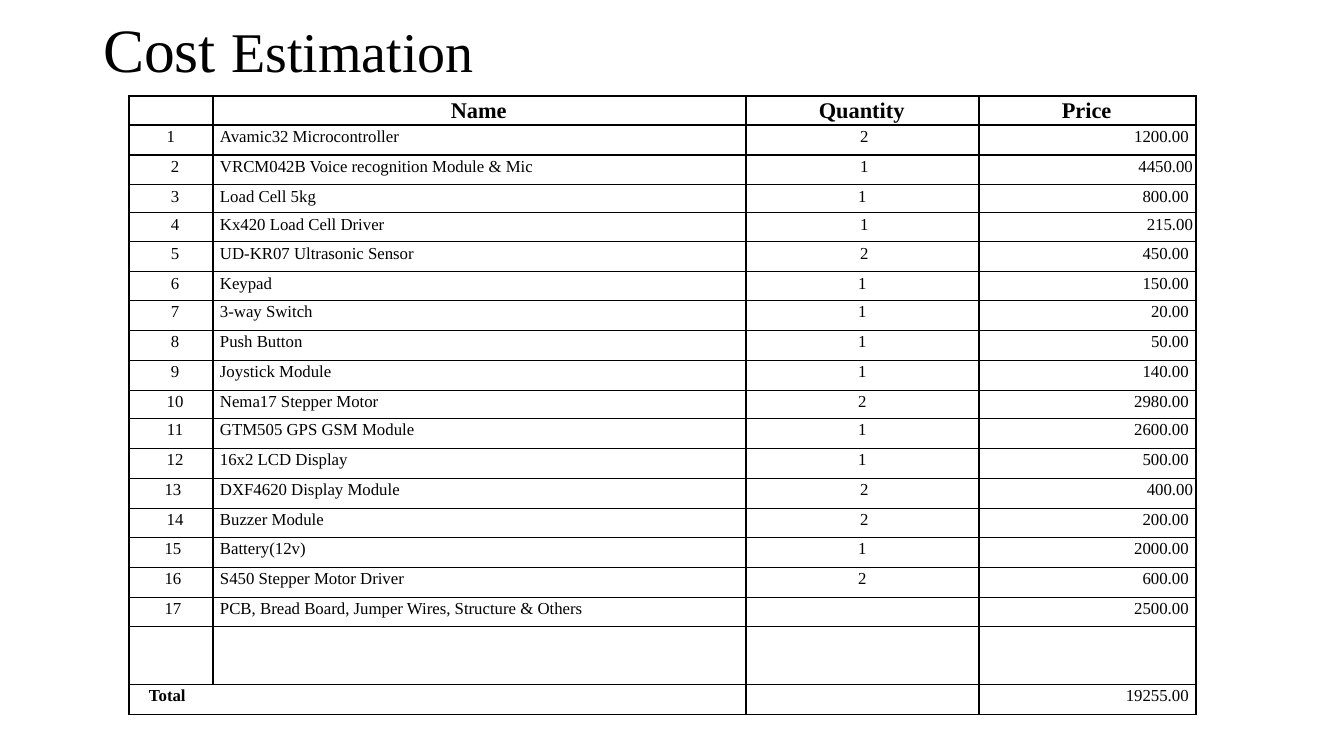
import pptx
import pptx.util
import pptx.dml.color
import pptx.enum.text
import pptx.oxml.ns
import lxml.etree

# Content
TITLE = [("Cost ", 44), ("Estimation", 40)]
HEADINGS = ("", "Name ", "Quantity ", "Price ")
ITEMS = [
    ("1 ", "Avamic32 Microcontroller", "2", "1200.00 "),
    (" 2", "VRCM042B Voice recognition Module & Mic", "1", "4450.00"),
    (" 3", "Load Cell 5kg", "1 ", "800.00 "),
    (" 4", "Kx420 Load Cell Driver", "1", "215.00"),
    (" 5", "UD-KR07 Ultrasonic Sensor", "2", "450.00 "),
    (" 6", "Keypad", "1 ", "150.00 "),
    (" 7", "3-way Switch", "1 ", "20.00 "),
    (" 8", "Push Button", "1 ", "50.00 "),
    (" 9", "Joystick Module", "1 ", "140.00 "),
    (" 10", "Nema17 Stepper Motor", "2 ", "2980.00 "),
    (" 11", "GTM505 GPS GSM Module", "1 ", "2600.00 "),
    (" 12", "16x2 LCD Display", "1 ", "500.00 "),
    ("13", "DXF4620 Display Module", "2", "400.00"),
    (" 14", "Buzzer Module", "2", "200.00 "),
    ("15", "Battery(12v)", "1 ", "2000.00 "),
    ("16", "S450 Stepper Motor Driver", "2 ", "600.00 "),
    ("17", "PCB, Bread Board, Jumper Wires, Structure & Others", "", "2500.00 "),
]
SPACER = ("", "", "", "")
TOTAL = ("Total", "", "", "19255.00 ")

# Layout in px
SLIDE_SIZE = (1344, 756)
TITLE_BOX = (93, 10, 1159, 86)
TABLE_LEFT, TABLE_TOP = 129, 96
COLUMN_WIDTHS = (84, 533, 233, 217)
ROW_HEIGHTS = (29, 30, 30, 28, 29, 30, 29, 30, 30, 30,
               28, 30, 30, 30, 29, 30, 30, 29, 58, 30)
CELL_MARGINS = {"left": 7, "top": 1, "right": 3, "bottom": 0}
TOTAL_INDENT = 20

FONT = "Times New Roman"
BLACK = pptx.dml.color.RGBColor(0x00, 0x00, 0x00)
ALIGN = pptx.enum.text.PP_ALIGN
COLUMN_ALIGNS = (ALIGN.CENTER, ALIGN.LEFT, ALIGN.CENTER, ALIGN.RIGHT)


def px(length):
    return round(length * 914400 / 100.8)


def write(paragraph, text, size=12, bold=False, align=ALIGN.LEFT, spacing=1.07):
    paragraph.alignment = align
    paragraph.line_spacing = spacing
    if not text:
        # An empty cell still needs a small font to keep its row low
        lxml.etree.SubElement(paragraph._p, pptx.oxml.ns.qn("a:endParaRPr"),
                              sz=str(size * 100))
        return
    run = paragraph.add_run()
    run.text = text
    run.font.name = FONT
    run.font.size = pptx.util.Pt(size)
    run.font.bold = bold
    run.font.color.rgb = BLACK


def outline(cell):
    properties = cell._tc.get_or_add_tcPr()
    for side in ("lnL", "lnR", "lnT", "lnB"):
        line = lxml.etree.SubElement(properties, pptx.oxml.ns.qn("a:" + side),
                                     w=str(pptx.util.Pt(1)))
        fill = lxml.etree.SubElement(line, pptx.oxml.ns.qn("a:solidFill"))
        lxml.etree.SubElement(fill, pptx.oxml.ns.qn("a:srgbClr"), val=str(BLACK))


def add_title(slide):
    title = slide.shapes.title
    title.left, title.top, title.width, title.height = map(px, TITLE_BOX)
    frame = title.text_frame
    frame.word_wrap = True
    frame.auto_size = pptx.enum.text.MSO_AUTO_SIZE.NONE
    frame.vertical_anchor = pptx.enum.text.MSO_ANCHOR.MIDDLE
    for text, size in TITLE:
        write(frame.paragraphs[0], text, size=size, spacing=0.9)


def add_costs(slide):
    rows = [HEADINGS, *ITEMS, SPACER, TOTAL]
    costs = slide.shapes.add_table(
        len(rows), len(HEADINGS), px(TABLE_LEFT), px(TABLE_TOP),
        px(sum(COLUMN_WIDTHS)), px(sum(ROW_HEIGHTS))).table
    costs.first_row = costs.horz_banding = False
    for column, width in zip(costs.columns, COLUMN_WIDTHS):
        column.width = px(width)
    for row, height in zip(costs.rows, ROW_HEIGHTS):
        row.height = px(height)

    for r, values in enumerate(rows):
        heading = values is HEADINGS
        for c, text in enumerate(values):
            cell = costs.cell(r, c)
            for side, margin in CELL_MARGINS.items():
                setattr(cell, "margin_" + side, px(margin))
            outline(cell)
            cell.fill.background()
            is_total = values is TOTAL and c == 0
            align = COLUMN_ALIGNS[c]
            if heading:
                align = ALIGN.CENTER
            elif is_total:
                align = ALIGN.LEFT
            write(cell.text_frame.paragraphs[0], text, size=16 if heading else 12,
                  bold=heading or is_total, align=align)

    # Total label spans the number and name columns
    last = len(rows) - 1
    total = costs.cell(last, 0)
    total.merge(costs.cell(last, 1))
    total.margin_left = px(TOTAL_INDENT)


def main():
    deck = pptx.Presentation()
    deck.slide_width, deck.slide_height = map(px, SLIDE_SIZE)
    slide = deck.slides.add_slide(deck.slide_layouts[5])
    add_title(slide)
    add_costs(slide)
    deck.save("out.pptx")


if __name__ == "__main__":
    main()
